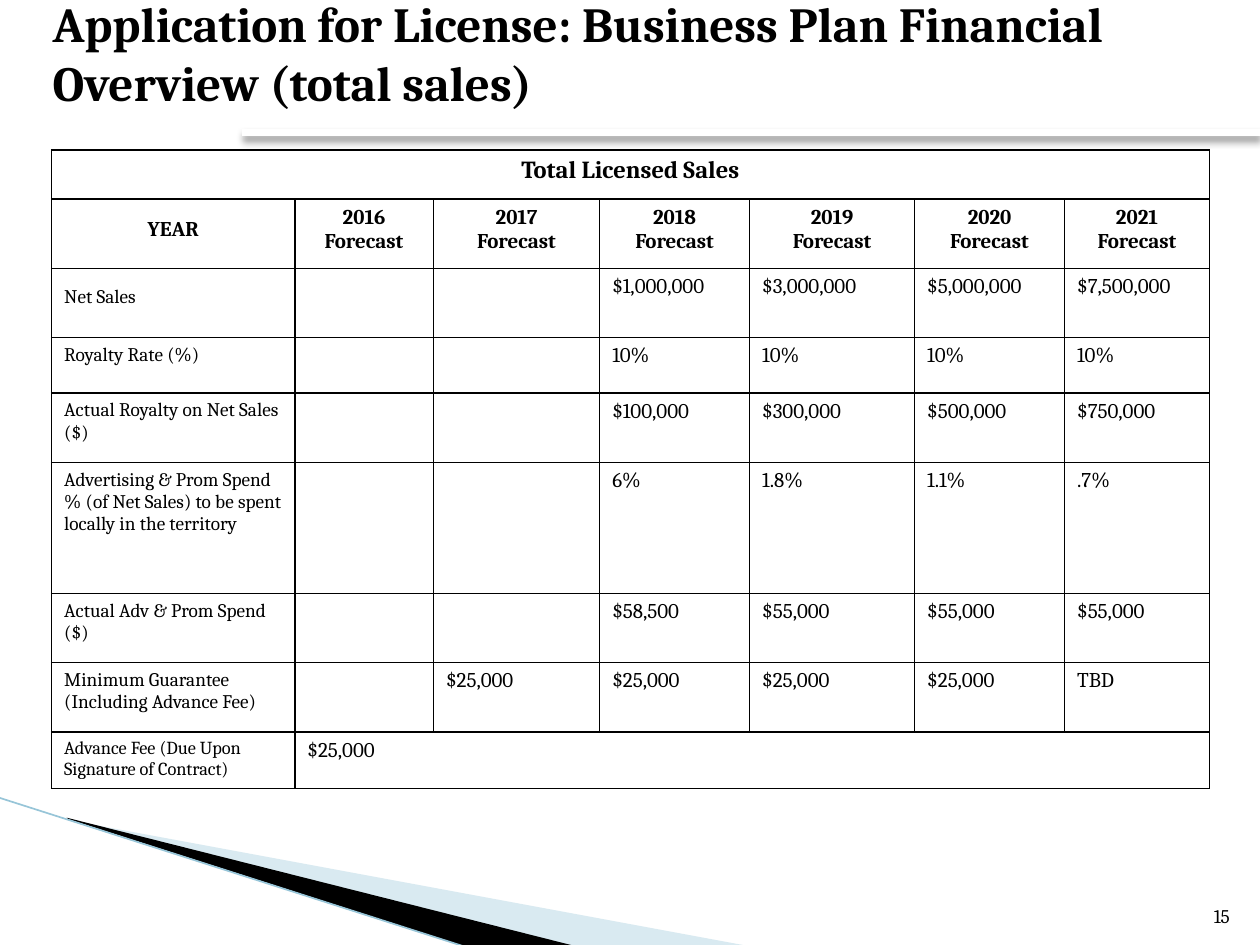
from typing import NamedTuple

from lxml.etree import SubElement
from pptx import Presentation
from pptx.dml.color import RGBColor
from pptx.enum.shapes import MSO_CONNECTOR
from pptx.enum.text import MSO_ANCHOR, PP_ALIGN
from pptx.oxml import parse_xml
from pptx.oxml.ns import nsdecls, qn
from pptx.util import Inches, Pt

FONT = "Cambria"
COLORS = {"ink": "000000", "paper": "FFFFFF", "pale": "A0CBDC", "edge": "97C5D8"}
COL_WIDTHS = [1.93, 1.1, 1.32, 1.19, 1.31, 1.19, 1.15]
ROW_HEIGHTS = [0.39, 0.55, 0.55, 0.44, 0.55, 1.04, 0.55, 0.55, 0.45]


class Row(NamedTuple):
    label: str
    values: list[str]
    label_size: float = 11
    label_spacing: float = 1.0
    header: bool = False
    merge_from: int | None = None


class Wedge(NamedTuple):
    points: list[tuple[float, float]]
    color: str
    opacity: int = 100


class Line(NamedTuple):
    start: tuple[float, float]
    end: tuple[float, float]
    color: str
    width: float
    shadow: bool = False


ROWS = [
    Row("Total Licensed Sales", [], 14, header=True, merge_from=0),
    Row("YEAR", ["2016\nForecast", "2017\nForecast", "2018\nForecast", "2019\nForecast",
                 "2020 Forecast", "2021 Forecast"], 12, 1.5, header=True),
    Row("Net Sales", ["", "", "$1,000,000", "$3,000,000", "$5,000,000", "$7,500,000"],
        label_spacing=1.5),
    Row("Royalty Rate (%)", ["", "", "10%", "10%", "10%", "10%"]),
    Row("Actual Royalty on Net Sales ($)",
        ["", "", "$100,000", "$300,000", "$500,000", "$750,000"]),
    Row("Advertising & Prom Spend % (of Net Sales) to be spent locally in the territory",
        ["", "", "6%", "1.8%", "1.1%", ".7%"]),
    Row("Actual Adv & Prom Spend ($)",
        ["", "", "$58,500", "$55,000", "$55,000", "$55,000"]),
    Row("Minimum Guarantee (Including Advance Fee)",
        ["", "$25,000", "$25,000", "$25,000", "$25,000", "TBD"]),
    Row("Advance Fee (Due Upon Signature of Contract)", ["$25,000"], 10.5, merge_from=1),
]
WEDGES = [
    Wedge([(0.55, 6.51), (5.95, 7.51), (4.56, 7.51), (0.55, 6.5)], "pale", 40),
    Wedge([(0.53, 6.49), (4.57, 7.51), (3.72, 7.52), (0.54, 6.5)], "ink"),
]
CORNER_EDGE = Line((-0.01, 6.33), (3.71, 7.52), "edge", 0.95)
TITLE_RULE = Line((1.92, 1.05), (10, 1.05), "paper", 4.33, shadow=True)


def rgb(name: str) -> RGBColor:
    return RGBColor.from_string(COLORS[name])


def write(tf, text: str, size: float, bold: bool = False,
          align=PP_ALIGN.LEFT, spacing: float = 1.0) -> None:
    tf.text = text
    for p in tf.paragraphs:
        p.alignment = align
        p.line_spacing = spacing
        for r in p.runs:
            r.font.name, r.font.size, r.font.bold = FONT, Pt(size), bold
            r.font.color.rgb = rgb("ink")


def add_text(slide, box: tuple[float, float, float, float], text: str, size: float,
             bold: bool = False, align=PP_ALIGN.LEFT, anchor=MSO_ANCHOR.TOP) -> None:
    tf = slide.shapes.add_textbox(*map(Inches, box)).text_frame
    tf.word_wrap = True
    tf.vertical_anchor = anchor
    write(tf, text, size, bold, align)


def add_wedge(slide, wedge: Wedge) -> None:
    first, *rest = [(Inches(x), Inches(y)) for x, y in wedge.points]
    builder = slide.shapes.build_freeform(*first)
    builder.add_line_segments(rest, close=True)
    sp = builder.convert_to_shape()
    sp.shadow.inherit = False
    sp.fill.solid()
    sp.fill.fore_color.rgb = rgb(wedge.color)
    sp.line.fill.background()
    if wedge.opacity < 100:
        color = sp.fill._xPr.find(qn("a:solidFill"))[0]
        SubElement(color, qn("a:alpha"), val=str(wedge.opacity * 1000))


def add_line(slide, line: Line) -> None:
    cxn = slide.shapes.add_connector(MSO_CONNECTOR.STRAIGHT,
                                     *map(Inches, line.start + line.end))
    cxn.line.color.rgb = rgb(line.color)
    cxn.line.width = Pt(line.width)
    effects = SubElement(cxn._element.spPr, qn("a:effectLst"))
    if line.shadow:
        shadow = SubElement(effects, qn("a:outerShdw"), blurRad=str(Pt(4)),
                            dist=str(Pt(3)), dir="5400000", algn="t", rotWithShape="0")
        color = SubElement(shadow, qn("a:srgbClr"), val=COLORS["ink"])
        SubElement(color, qn("a:alpha"), val="35000")


def style_cell(cell) -> None:
    cell.fill.solid()
    cell.fill.fore_color.rgb = rgb("paper")
    tc_pr = cell._tc.get_or_add_tcPr()
    for i, side in enumerate("LRTB"):
        tc_pr.insert(i, parse_xml(
            f'<a:ln{side} {nsdecls("a")} w="{Pt(1)}"><a:solidFill>'
            f'<a:srgbClr val="{COLORS["ink"]}"/></a:solidFill></a:ln{side}>'))


def add_sales_table(slide) -> None:
    table = slide.shapes.add_table(
        len(ROWS), len(COL_WIDTHS), Inches(0.41), Inches(1.19),
        Inches(sum(COL_WIDTHS)), Inches(sum(ROW_HEIGHTS))).table
    table.first_row = table.horz_banding = False
    for column, width in zip(table.columns, COL_WIDTHS):
        column.width = Inches(width)
    for i, (row, height) in enumerate(zip(ROWS, ROW_HEIGHTS)):
        table.rows[i].height = Inches(height)
        align = PP_ALIGN.CENTER if row.header else PP_ALIGN.LEFT
        for cell in table.rows[i].cells:
            style_cell(cell)
        write(table.cell(i, 0).text_frame, row.label, row.label_size,
              row.header, align, row.label_spacing)
        for j, value in enumerate(row.values, start=1):
            if value:
                write(table.cell(i, j).text_frame, value, 12, row.header, align)
        if row.merge_from is not None:
            table.cell(i, row.merge_from).merge(table.cell(i, len(COL_WIDTHS) - 1))


def main() -> None:
    prs = Presentation()
    prs.slide_width, prs.slide_height = Inches(10), Inches(7.5)
    slide = prs.slides.add_slide(prs.slide_layouts[6])
    for wedge in WEDGES:
        add_wedge(slide, wedge)
    add_line(slide, CORNER_EDGE)
    add_text(slide, (0.32, -0.1, 9.68, 1.04),
             "Application for License: Business Plan Financial Overview (total sales)",
             28, bold=True)
    add_line(slide, TITLE_RULE)
    add_text(slide, (9.46, 7.01, 0.4, 0.4), "15", 11,
             align=PP_ALIGN.RIGHT, anchor=MSO_ANCHOR.BOTTOM)
    add_sales_table(slide)
    prs.save("out.pptx")


if __name__ == "__main__":
    main()
